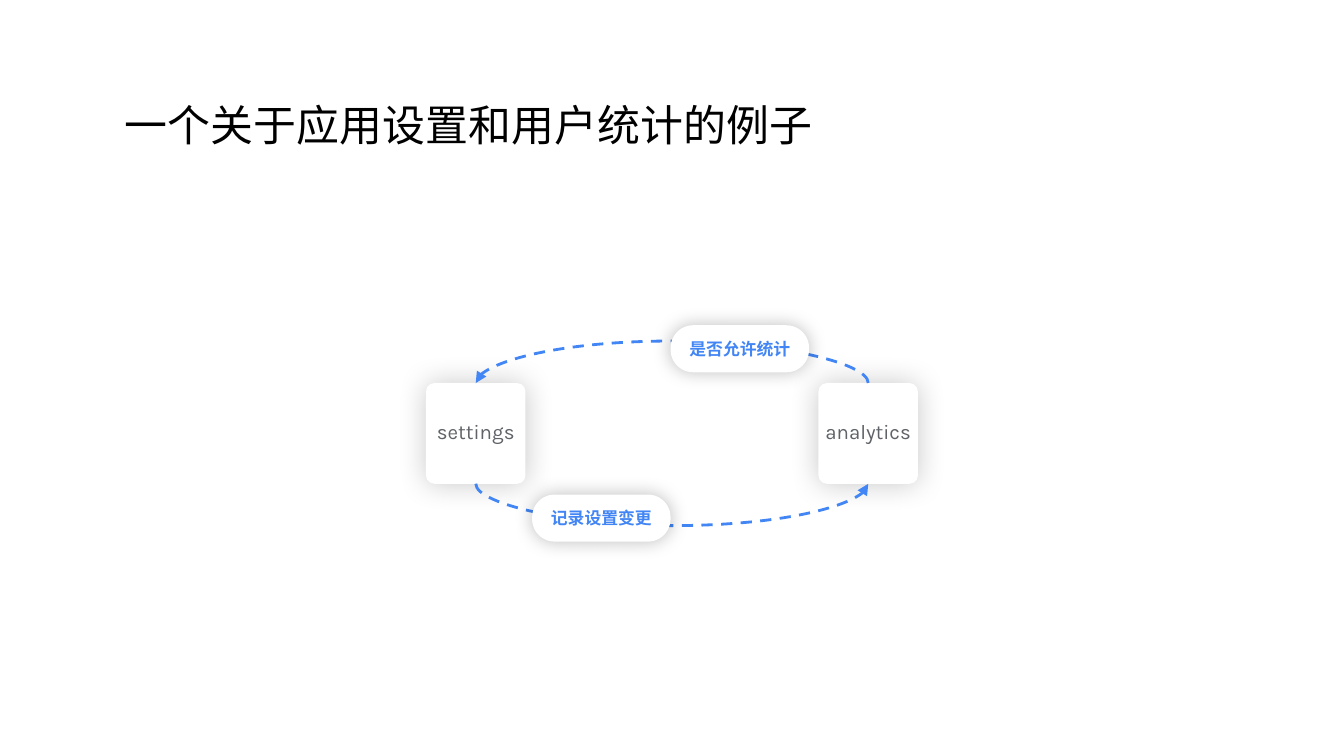
from lxml.etree import SubElement
from pptx import Presentation
from pptx.dml.color import RGBColor
from pptx.enum.dml import MSO_LINE
from pptx.enum.shapes import MSO_CONNECTOR, MSO_SHAPE
from pptx.enum.text import MSO_ANCHOR, PP_ALIGN
from pptx.oxml import parse_xml
from pptx.oxml.ns import nsdecls, qn
from pptx.util import Emu, Inches, Pt

FONT = "Karla"
BLUE = "4285F4"
GRAY = "5F6368"
BOX_TOP, BOX_WIDTH, BOX_HEIGHT = 2.85, 0.74, 0.75
CURVE_DEPTH = 0.26
TOP, BOTTOM = 0, 2  # connection sites


def color(value):
    return RGBColor.from_string(value)


def write_text(shape, text, size, font_color, align, anchor, bold=False):
    frame = shape.text_frame
    frame.margin_left = frame.margin_top = frame.margin_right = frame.margin_bottom = 0
    frame.word_wrap = True
    frame.vertical_anchor = anchor
    frame.text = text
    paragraph = frame.paragraphs[0]
    paragraph.alignment = align
    paragraph.font.name = FONT
    paragraph.font.size = Pt(size)
    paragraph.font.bold = bold
    paragraph.font.color.rgb = color(font_color)


def add_card(slide, left, top, width, height, radius, blur, opacity):
    """White rounded rectangle with a soft, centred shadow."""
    card = slide.shapes.add_shape(
        MSO_SHAPE.ROUNDED_RECTANGLE,
        Inches(left), Inches(top), Inches(width), Inches(height))
    card.adjustments[0] = radius
    card.fill.solid()
    card.fill.fore_color.rgb = color("FFFFFF")
    card.line.fill.background()
    card.shadow.inherit = False
    effects = card._element.spPr.find(qn("a:effectLst"))
    effects.append(parse_xml(
        f'<a:outerShdw {nsdecls("a")} blurRad="{Pt(blur)}" dist="0" dir="0" '
        f'algn="ctr" rotWithShape="0"><a:srgbClr val="000000">'
        f'<a:alpha val="{opacity * 1000}"/></a:srgbClr></a:outerShdw>'))
    return card


def add_module(slide, name, left):
    box = add_card(slide, left, BOX_TOP, BOX_WIDTH, BOX_HEIGHT, 0.086, 16, 22)
    label = slide.shapes.add_textbox(
        Inches(left), Inches(3.12), Inches(BOX_WIDTH), Inches(0.2))
    write_text(label, name, 11, GRAY, PP_ALIGN.CENTER, MSO_ANCHOR.TOP)
    return box


def add_label(slide, text, left, top):
    pill = add_card(slide, left, top, 1.03, 0.35, 0.48, 10, 25)
    write_text(pill, text, 9, BLUE, PP_ALIGN.CENTER, MSO_ANCHOR.MIDDLE, bold=True)


def add_curve(slide, start, end, site):
    """Dashed arrow that bulges away from the same side of two boxes."""
    curve = slide.shapes.add_connector(MSO_CONNECTOR.CURVE, 0, 0, 0, 0)
    curve.begin_connect(start, site)
    curve.end_connect(end, site)

    # The frame is a thin upright strip, turned by a quarter
    span = abs(end.left - start.left)
    strip = Emu(600)
    edge = start.top + (start.height if site == BOTTOM else 0)
    curve.left = (start.left + end.left + start.width - strip) // 2
    curve.top = edge - span // 2
    curve.width, curve.height = strip, span
    properties = curve._element.spPr
    transform = properties.find(qn("a:xfrm"))
    for flip in ("flipH", "flipV"):
        transform.attrib.pop(flip, None)
    transform.set("rot", str((270 if site == BOTTOM else 90) * 60000))
    if site == BOTTOM:
        transform.set("flipH", "1")
    bulge = round(Inches(CURVE_DEPTH) / strip * 100000)
    guides = properties.find(qn("a:prstGeom")).get_or_add_avLst()
    SubElement(guides, qn("a:gd"), name="adj1",
               fmla=f"val {bulge if site == BOTTOM else -bulge}")

    curve.line.color.rgb = color(BLUE)
    curve.line.width = Pt(1.5)
    curve.line.dash_style = MSO_LINE.DASH
    SubElement(curve.line._get_or_add_ln(), qn("a:tailEnd"), type="triangle")
    SubElement(properties, qn("a:effectLst"))


def main():
    # Widescreen page, 16 to 9
    presentation = Presentation()
    presentation.slide_width = Inches(10)
    presentation.slide_height = Inches(10) * 9 // 16
    slide = presentation.slides.add_slide(presentation.slide_layouts[5])

    # Title
    title = slide.shapes.title
    title.left, title.top = Inches(0.93), Inches(0.72)
    title.width, title.height = Inches(6.53), Inches(0.4)
    write_text(title, "一个关于应用设置和用户统计的例子", 23, "000000",
               PP_ALIGN.LEFT, MSO_ANCHOR.BOTTOM)

    # Modules
    settings = add_module(slide, "settings", 3.17)
    analytics = add_module(slide, "analytics", 6.09)

    # Dependencies in both directions
    add_curve(slide, settings, analytics, BOTTOM)
    add_label(slide, "记录设置变更", 3.96, 3.68)
    add_curve(slide, analytics, settings, TOP)
    add_label(slide, "是否允许统计", 4.99, 2.42)

    presentation.save("out.pptx")


if __name__ == "__main__":
    main()
